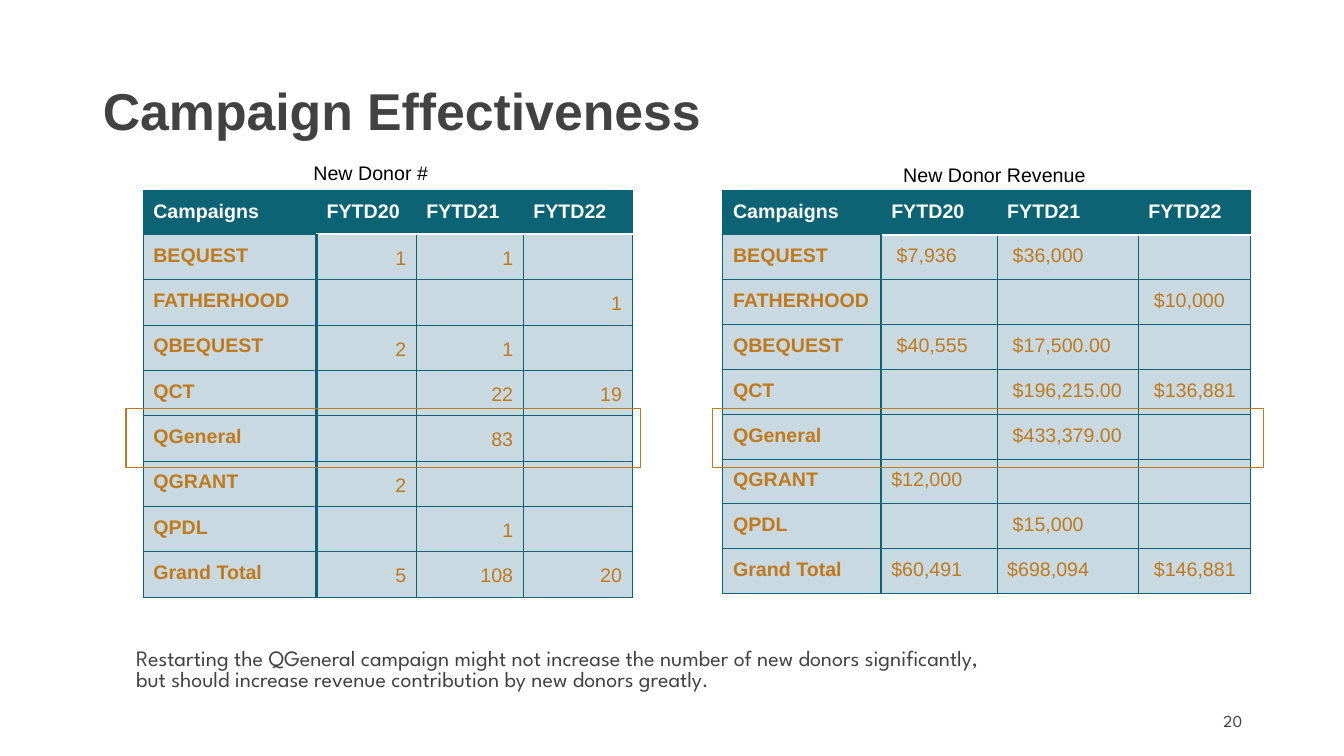
from copy import deepcopy
from dataclasses import dataclass
from lxml.etree import SubElement
from pptx import Presentation
from pptx.dml.color import RGBColor
from pptx.enum.shapes import MSO_SHAPE
from pptx.enum.text import MSO_ANCHOR, MSO_AUTO_SIZE, PP_ALIGN
from pptx.oxml.ns import qn
from pptx.util import Inches, Pt


@dataclass(frozen=True)
class Theme:
    font: str = "Arial"
    note_font: str = "League Spartan"
    ink: str = "424242"
    black: str = "000000"
    white: str = "FFFFFF"
    teal: str = "0B6374"
    grid: str = "086374"
    cell: str = "C8D9E2"
    orange: str = "C0791B"
    title: float = 37
    note: float = 15.7
    table: float = 14
    number: float = 12
    thin: float = 0.75
    thick: float = 2


T = Theme()
TITLE = "Campaign Effectiveness"
NOTE = ("Restarting the QGeneral campaign might not increase the number of new donors significantly,\v"
        "but should increase revenue contribution by new donors greatly.")
PAGE = "20"
HEADER = ("Campaigns", "FYTD20", "FYTD21", "FYTD22")
DONORS = [
    HEADER,
    ("BEQUEST", "1", "1", ""),
    ("FATHERHOOD", "", "", "1"),
    ("QBEQUEST", "2", "1", ""),
    ("QCT", "", "22", "19"),
    ("QGeneral", "", "83", ""),
    ("QGRANT", "2", "", ""),
    ("QPDL", "", "1", ""),
    ("Grand Total", "5", "108", "20"),
]
REVENUE = [
    HEADER,
    ("BEQUEST", " $7,936", " $36,000", ""),
    ("FATHERHOOD", "", "", " $10,000"),
    ("QBEQUEST", " $40,555", " $17,500.00", ""),
    ("QCT", "", " $196,215.00", " $136,881"),
    ("QGeneral", "", " $433,379.00", ""),
    ("QGRANT", "$12,000", "", ""),
    ("QPDL", "", " $15,000", ""),
    ("Grand Total", "$60,491", "$698,094", " $146,881"),
]
TABLES = [
    dict(rows=DONORS, left=1.42, cols=(1.72, 0.99, 1.06, 1.08), height=4.03, header=0.43,
         align=PP_ALIGN.RIGHT, spacing=1.15),
    dict(rows=REVENUE, left=7.17, cols=(1.57, 1.15, 1.4, 1.11), height=4, header=0.44,
         align=PP_ALIGN.LEFT, spacing=1),
]
TABLE_TOP = 1.89
INSET, VALUE_BOTTOM = 0.1, 0.05
HIGHLIGHTS = [(1.25, 4.05, 5.1, 0.59), (7.07, 4.05, 5.46, 0.59)]
CAPTIONS = [("New Donor #", (3.01, 1.55, 2.92, 0.34)),
            ("New Donor Revenue", (8.86, 1.57, 2.92, 0.34))]


def write(tf, text, size=T.table, font=T.font, color=T.black, bold=False,
          align=PP_ALIGN.LEFT, spacing=1, before=0, after=0, anchor=MSO_ANCHOR.TOP):
    tf.word_wrap = True
    tf.vertical_anchor = anchor
    p = tf.paragraphs[0]
    p.text = text
    p.alignment, p.line_spacing = align, spacing
    p.space_before, p.space_after = Pt(before), Pt(after)
    for r in p.runs:
        r.font.size, r.font.name, r.font.bold = Pt(size), font, bold
        r.font.color.rgb = RGBColor.from_string(color)
    for br in p._p.findall(qn("a:br")):
        br.insert(0, deepcopy(p.runs[0]._r.rPr))
    return p


def place(sp, box):
    sp.left, sp.top, sp.width, sp.height = map(Inches, box)
    return sp


def add_label(s, box, text, **fmt):
    write(s.shapes.add_textbox(*map(Inches, box)).text_frame, text, **fmt)


def set_borders(cell, sides):
    tcPr = cell._tc.get_or_add_tcPr()
    for i, (side, (color, width)) in enumerate(sides.items()):
        ln = tcPr.makeelement(qn(f"a:ln{side}"), {"w": str(Pt(width))})
        fill = SubElement(ln, qn("a:solidFill"))
        SubElement(fill, qn("a:srgbClr"), val=color)
        tcPr.insert(i, ln)


def cell_borders(i, j):
    thin, thick, rule = (T.grid, T.thin), (T.teal, T.thick), (T.white, T.thick)
    return {
        "L": thick if i and j == 1 else thin,
        "R": thick if i and j == 0 else thin,
        "T": rule if i == 1 and j else thin,
        "B": rule if i == 0 and j else thin,
    }


def add_campaign_table(s, rows, left, cols, height, header, align, spacing):
    box = (left, TABLE_TOP, sum(cols), height)
    table = s.shapes.add_table(len(rows), len(cols), *map(Inches, box)).table
    table.horz_banding = False
    body_height = (height - header) / (len(rows) - 1)
    for col, width in zip(table.columns, cols):
        col.width = Inches(width)
    for i, row in enumerate(rows):
        table.rows[i].height = Inches(body_height if i else header)
        for j, text in enumerate(row):
            cell = table.cell(i, j)
            value = i > 0 and j > 0
            cell.margin_left = cell.margin_right = Inches(INSET)
            cell.margin_top = Inches(INSET if text else 0)
            cell.margin_bottom = Inches((VALUE_BOTTOM if value else INSET) if text else 0)
            cell.fill.solid()
            cell.fill.fore_color.rgb = RGBColor.from_string(T.cell if i else T.teal)
            write(cell.text_frame, text, color=T.orange if i else T.white, bold=not value,
                  align=align if value else PP_ALIGN.LEFT, spacing=spacing if value else 1)
            set_borders(cell, cell_borders(i, j))


def add_highlight(s, box):
    sp = s.shapes.add_shape(MSO_SHAPE.RECTANGLE, *map(Inches, box))
    sp.shadow.inherit = False
    sp.fill.background()
    sp.line.color.rgb = RGBColor.from_string(T.orange)
    sp.line.width = Pt(T.thin)


def main():
    prs = Presentation()
    prs.slide_width, prs.slide_height = Inches(13.33), Inches(7.5)
    s = prs.slides.add_slide(prs.slide_layouts[1])

    title = place(s.shapes.title, (0.92, 0.4, 11.5, 1.45)).text_frame
    title.auto_size = MSO_AUTO_SIZE.NONE
    write(title, TITLE, size=T.title, color=T.ink, bold=True, spacing=0.9, anchor=MSO_ANCHOR.MIDDLE)

    note = place(s.placeholders[1], (1.25, 6.39, 11.5, 0.9)).text_frame
    note.auto_size = MSO_AUTO_SIZE.NONE
    p = write(note, NOTE, size=T.note, font=T.note_font, color=T.ink, spacing=0.8, before=10, after=16)
    pPr = p._p.get_or_add_pPr()
    pPr.set("marL", "0")
    pPr.set("indent", "0")
    SubElement(pPr, qn("a:buNone"))

    add_label(s, (9.42, 6.95, 3, 0.4), PAGE, size=T.number, font=T.note_font, color=T.ink,
              align=PP_ALIGN.RIGHT, anchor=MSO_ANCHOR.MIDDLE)
    for table in TABLES:
        add_campaign_table(s, **table)
    for box in HIGHLIGHTS:
        add_highlight(s, box)
    for text, box in CAPTIONS:
        add_label(s, box, text)
    prs.save("out.pptx")


if __name__ == "__main__":
    main()
